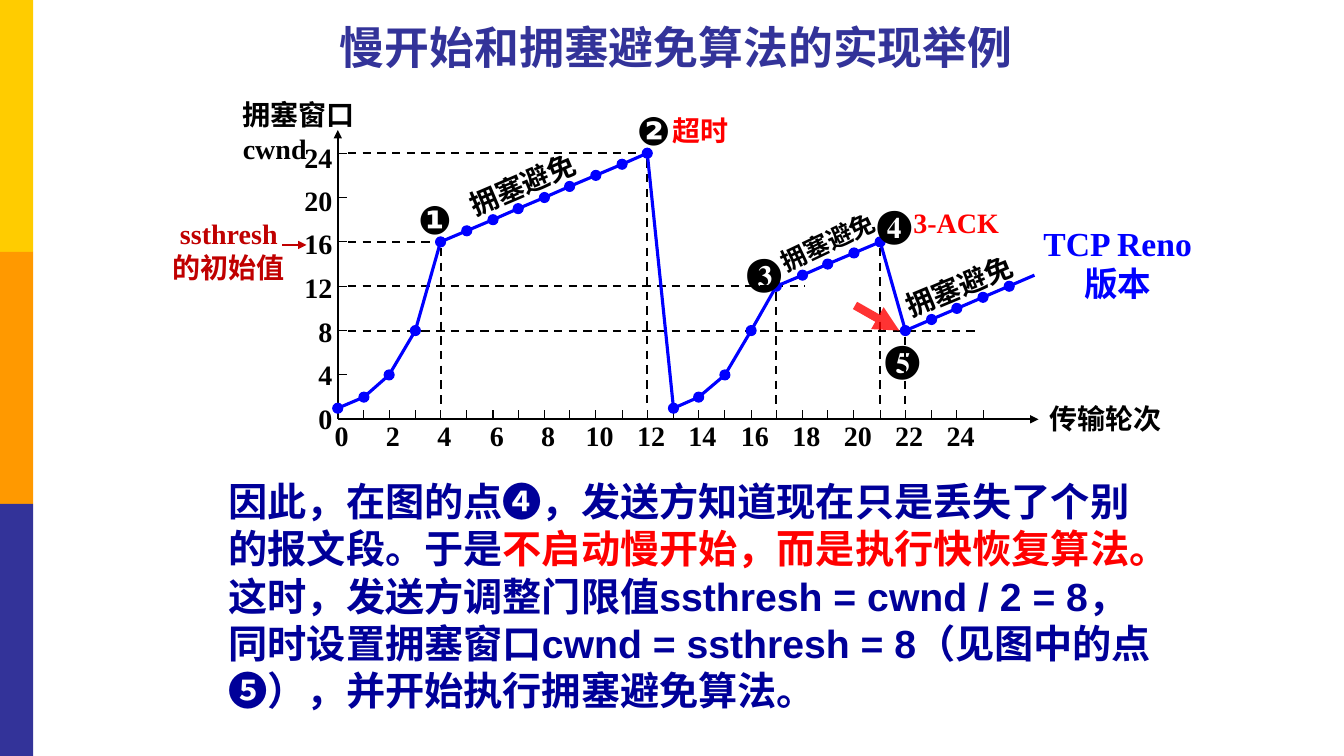
import lxml.etree
import pptx
import pptx.dml.color
import pptx.enum.dml
import pptx.enum.shapes
import pptx.enum.text
import pptx.oxml.ns
import pptx.util

PX = 9144  # EMU per px, 100 px to the inch
THEME = {
    "yellow": "FFCC00", "orange": "FF9900", "indigo": "333399",
    "black": "000000", "blue": "0000FF", "navy": "000099",
    "red": "FF0000", "crimson": "C00000",
    "serif": "Times New Roman", "sans": "Arial", "heading": "Roboto",
    "title": 32, "body": 28, "version": 24, "label": 20, "small": 18,
    "thin": 0.75, "axis": 1.5, "curve": 2.25, "pointer": 6,
}
ALIGN = pptx.enum.text.PP_ALIGN
ANCHOR = pptx.enum.text.MSO_ANCHOR
SHAPE = pptx.enum.shapes.MSO_SHAPE
DASH = pptx.enum.dml.MSO_LINE.DASH
COLOURS = {name: pptx.dml.color.RGBColor.from_string(value)
           for name, value in THEME.items()
           if isinstance(value, str) and len(value) == 6 and name not in ("serif", "sans", "heading")}

presentation = pptx.Presentation()
presentation.slide_width = 1333 * PX
presentation.slide_height = 750 * PX
slide = presentation.slides.add_slide(presentation.slide_layouts[6])
shapes = slide.shapes


def add_text(box, paragraphs, size="label", font="serif", align=ALIGN.LEFT,
             wrap=False, anchor=ANCHOR.TOP, rotation=0):
    """Place a text box; each paragraph is a list of (text, colour) runs."""
    shape = shapes.add_textbox(*(round(length) * PX for length in box))
    shape.rotation = rotation
    frame = shape.text_frame
    for name, value in {"word_wrap": wrap, "vertical_anchor": anchor}.items():
        setattr(frame, name, value)
    for index, runs in enumerate(paragraphs):
        paragraph = frame.paragraphs[0] if index == 0 else frame.add_paragraph()
        paragraph.alignment = align
        for text, colour in runs:
            run = paragraph.add_run()
            run.text = text
            run.font.color.rgb = COLOURS[colour]
            formats = {"size": pptx.util.Pt(THEME[size]), "name": THEME[font], "bold": True}
            for name, value in formats.items():
                setattr(run.font, name, value)


def add_line(start, end, colour="black", width="axis", dash=None, arrow=False, alpha=None):
    """Draw a straight line, with an optional arrowhead at its end."""
    points = [round(value) * PX for value in (*start, *end)]
    connector = shapes.add_connector(pptx.enum.shapes.MSO_CONNECTOR.STRAIGHT, *points)
    connector.line.color.rgb = COLOURS[colour]
    formats = {"width": pptx.util.Pt(THEME[width]), "dash_style": dash}
    for name, value in formats.items():
        setattr(connector.line, name, value)
    properties = connector._element.spPr
    qn = pptx.oxml.ns.qn
    if alpha:
        tint = properties.find(".//" + qn("a:srgbClr"))
        lxml.etree.SubElement(tint, qn("a:alpha"), val=str(alpha * 1000))
    if arrow:
        lxml.etree.SubElement(properties.find(qn("a:ln")), qn("a:tailEnd"), type="triangle")
    lxml.etree.SubElement(properties, qn("a:effectLst"))


# Side bands and title
for index, colour in enumerate(("yellow", "orange", "indigo")):
    band = shapes.add_shape(SHAPE.RECTANGLE, 0, index * 250 * PX, 33 * PX, 250 * PX)
    band.shadow.inherit = False
    band.fill.solid()
    band.fill.fore_color.rgb = COLOURS[colour]
    band.line.fill.background()
add_text((171, 17, 1000, 58), [[("慢开始和拥塞避免算法的实现举例", "indigo")]],
         "title", "heading", ALIGN.CENTER, True, ANCHOR.MIDDLE)

# Congestion window in each round
WINDOWS = [1, 2, 4, 8, *range(16, 25), 1, 2, 4, 8, *range(12, 17), *range(8, 14)]
ORIGIN_X, ORIGIN_Y = 335, 416
points = [(round(ORIGIN_X + 25.6 * turn), ORIGIN_Y - 11 * window)
          for turn, window in enumerate(WINDOWS)]

# Axes, ticks and tick labels
add_line((ORIGIN_X, ORIGIN_Y), (1030, ORIGIN_Y), arrow=True)
add_line((ORIGIN_X, ORIGIN_Y), (ORIGIN_X, 129), arrow=True)
for x, _ in points[1:26]:
    add_line((x, 407), (x, ORIGIN_Y), width="thin")
for turn in range(0, 25, 2):
    width = 20 + 14 * len(str(turn))
    add_text((points[turn][0] + 4 - width / 2, 410, width, 44), [[(str(turn), "black")]])
for window in range(0, 25, 4):
    width = 20 + 14 * len(str(window))
    add_text((340 - width, 393 - 10.8 * window, width, 44), [[(str(window), "black")]])
    if window:
        y = ORIGIN_Y - 11 * window
        add_line((ORIGIN_X, y), (ORIGIN_X + 9, y), width="thin")

# Dashed guides
for window, right in ((24, 643), (16, 437), (12, 798), (8, 968)):
    y = ORIGIN_Y - 11 * window
    add_line((345, y), (right, y), dash=DASH)
for turn in (4, 12, 17, 21, 22):
    x, y = points[turn]
    add_line((x, y + 6), (x, 406), dash=DASH)

# Curve: growth phases, then straight drops and the last climb
for first, last in ((0, 12), (13, 21)):
    builder = shapes.build_freeform(*points[first], scale=PX)
    builder.add_line_segments(points[first + 1:last + 1], close=False)
    growth = builder.convert_to_shape()
    growth.shadow.inherit = False
    growth.fill.background()
    growth.line.color.rgb = COLOURS["blue"]
    growth.line.width = pptx.util.Pt(THEME["curve"])
for first, last in ((12, 13), (21, 22), (22, 27)):
    add_line(points[first], points[last], "blue", "curve")
for x, y in points[:-1]:
    dot = shapes.add_shape(SHAPE.OVAL, (x - 5) * PX, (y - 5) * PX, 10 * PX, 10 * PX)
    dot.shadow.inherit = False
    dot.fill.solid()
    dot.fill.fore_color.rgb = COLOURS["blue"]
    dot.line.color.rgb = COLOURS["blue"]
    dot.line.width = pptx.util.Pt(THEME["thin"])

# Chart labels
add_text((231, 92, 211, 77), [[("拥塞窗口", "black")], [("cwnd", "black")]], wrap=True)
add_text((1031, 393, 133, 44), [[("传输轮次", "black")]])
add_text((657, 108, 127, 44), [[("超时", "red")]], wrap=True)
add_text((896, 199, 129, 44), [[("3-ACK", "red")]], wrap=True)
add_text((1019, 216, 179, 91), [[("TCP Reno", "blue")], [("版本", "blue")]],
         "version", align=ALIGN.CENTER)
add_text((157, 210, 140, 77), [[("ssthresh", "crimson")], [("的初始值", "crimson")]],
         align=ALIGN.CENTER)
add_line((280, 243), (304, 243), "crimson", arrow=True)
for box, rotation, size in (
    ((452, 161, 133, 44), 336.8, "label"),
    ((760, 220, 122, 40), 334.5, "small"),
    ((885, 262, 133, 44), 337.4, "label"),
):
    add_text(box, [[("拥塞避免", "black")]], size, align=ALIGN.CENTER, rotation=rotation)
for mark, box, font, anchor in (
    ("❶", (405, 197, 48, 40), "sans", ANCHOR.MIDDLE),
    ("❷", (622, 112, 40, 33), "sans", ANCHOR.MIDDLE),
    ("❸", (731, 240, 55, 57), "serif", ANCHOR.TOP),
    ("❹", (860, 193, 55, 57), "serif", ANCHOR.TOP),
    ("❺", (868, 327, 55, 57), "serif", ANCHOR.TOP),
):
    add_text(box, [[(mark, "black")]], "body", font, anchor=anchor)
add_line((848, 303), (892, 328), "red", "pointer", arrow=True, alpha=80)

# Explanation
add_text((217, 469, 947, 246), [[
    ("因此，在图的点❹，发送方知道现在只是丢失了个别的报文段。于是", "navy"),
    ("不启动慢开始，而是执行快恢复算法。", "red"),
    ("这时，发送方调整门限值ssthresh = cwnd / 2 = 8，同时设置拥塞窗口"
     "cwnd = ssthresh = 8（见图中的点❺），并开始执行拥塞避免算法。", "navy"),
]], "body", "sans", wrap=True)

presentation.save("out.pptx")
